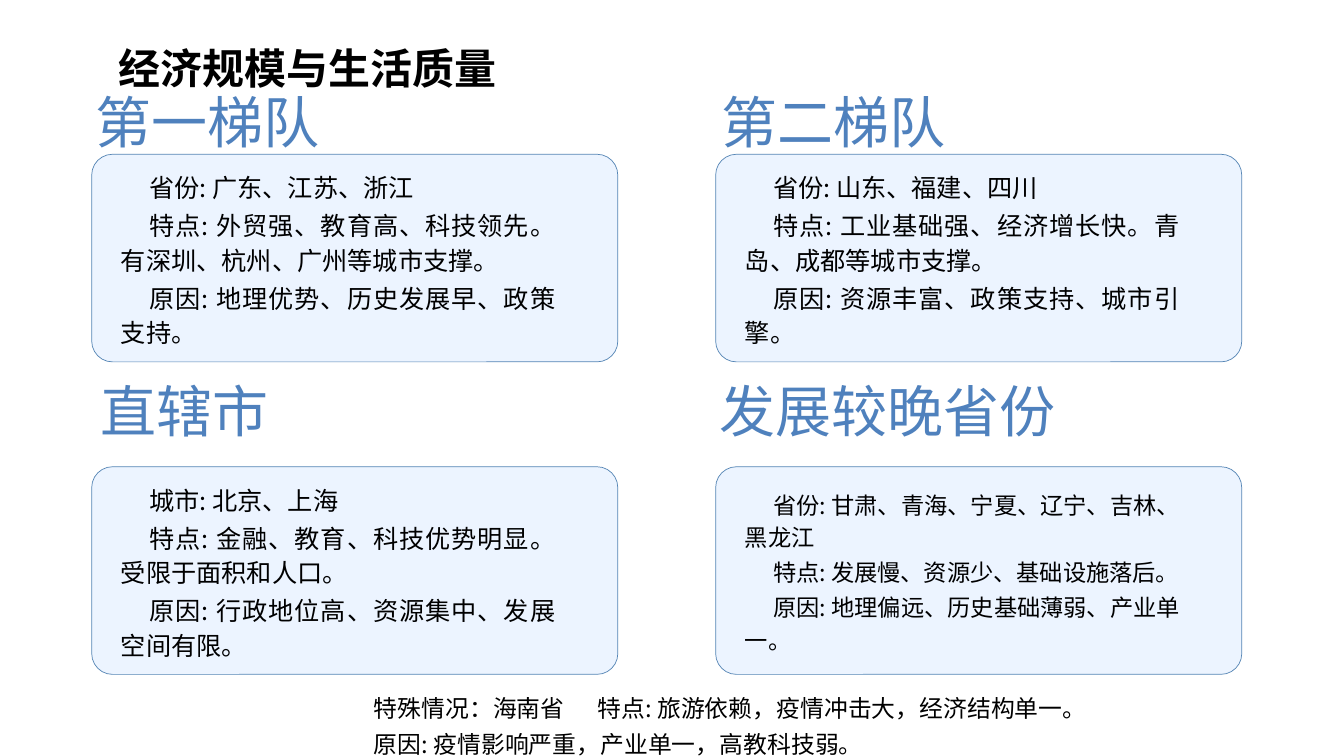
from dataclasses import dataclass

import lxml.etree
import pptx
import pptx.dml.color
import pptx.enum.shapes
import pptx.enum.text
import pptx.oxml.ns
import pptx.slide
import pptx.text.text
import pptx.util

Pt = pptx.util.Pt
qn = pptx.oxml.ns.qn
Align = pptx.enum.text.PP_ALIGN
Anchor = pptx.enum.text.MSO_ANCHOR
FACE = "Noto Sans CJK SC"
BLACK, BLUE, PALE, EDGE = "000000", "4F81BD", "ECF4FF", "5585B5"
COLS, ROWS = (65.5, 511.2), (110.2, 333.4)
CARD = (375.8, 148.3)
HEAD = {"alignment": Align.CENTER}
BODY = {"alignment": Align.JUSTIFY, "line_spacing": 1.15}
GAP, STOP = 2.1, 216


@dataclass
class Group:
    col: int
    row: int
    name: str
    head: tuple[float, float, float, float]
    lines: list[str]
    size: float = 18


GROUPS = [
    Group(0, 0, "第一梯队", (34, 59, 228.2, 57.6), [
        "省份: 广东、江苏、浙江",
        "特点: 外贸强、教育高、科技领先。有深圳、杭州、广州等城市支撑。",
        "原因: 地理优势、历史发展早、政策支持。"]),
    Group(1, 0, "第二梯队", (481, 59, 228.2, 57.6), [
        "省份: 山东、福建、四川",
        "特点: 工业基础强、经济增长快。青岛、成都等城市支撑。",
        "原因: 资源丰富、政策支持、城市引擎。"]),
    Group(0, 1, "直辖市", (51.8, 265.7, 160.6, 57.6), [
        "城市: 北京、上海",
        "特点: 金融、教育、科技优势明显。受限于面积和人口。",
        "原因: 行政地位高、资源集中、发展空间有限。"]),
    Group(1, 1, "发展较晚省份", (481, 265.7, 306, 55.4), [
        "省份: 甘肃、青海、宁夏、辽宁、吉林、黑龙江",
        "特点: 发展慢、资源少、基础设施落后。",
        "原因: 地理偏远、历史基础薄弱、产业单一。"], 16.6),
]
NOTE = [
    "特殊情况：海南省\t特点: 旅游依赖，疫情冲击大，经济结构单一。",
    "原因: 疫情影响严重，产业单一，高教科技弱。",
]


def color(code: str) -> pptx.dml.color.RGBColor:
    return pptx.dml.color.RGBColor.from_string(code)


def apply(target: object, form: dict) -> None:
    """Set each attribute of target named in form."""
    for key, value in form.items():
        setattr(target, key, value)


def indent(para: pptx.text.text._Paragraph, tab: bool) -> None:
    """Indent the first line and, if asked, add the tab stop."""
    props = para._p.get_or_add_pPr()
    props.set("marL", str(Pt(9.4)))
    props.set("indent", str(Pt(20.2)))
    if tab:
        stops = lxml.etree.SubElement(props, qn("a:tabLst"))
        lxml.etree.SubElement(stops, qn("a:tab"), pos=str(Pt(STOP)), algn="l")


def write(frame: pptx.text.text.TextFrame, lines: list[str], form: dict,
          size: float, ink: str = BLACK, bold: bool = False) -> None:
    for i, line in enumerate(lines):
        para = frame.paragraphs[0] if i == 0 else frame.add_paragraph()
        apply(para, form)
        if i:
            para.space_before = Pt(GAP)
        if form is BODY:
            indent(para, "\t" in line)
        run = para.add_run()
        run.text = line
        apply(run.font, {"name": FACE, "size": Pt(size), "bold": bold})
        run.font.color.rgb = color(ink)
        east = lxml.etree.SubElement(run._r.get_or_add_rPr(), qn("a:ea"))
        east.set("typeface", FACE)


def label(slide: pptx.slide.Slide, area: tuple[float, float, float, float],
          anchor: Anchor = Anchor.TOP) -> pptx.text.text.TextFrame:
    """Add a wrapping text box and return its frame."""
    frame = slide.shapes.add_textbox(*map(Pt, area)).text_frame
    apply(frame, {"word_wrap": True, "vertical_anchor": anchor,
                  "auto_size": pptx.enum.text.MSO_AUTO_SIZE.SHAPE_TO_FIT_TEXT})
    return frame


def card(slide: pptx.slide.Slide, group: Group) -> None:
    area = (COLS[group.col], ROWS[group.row], *CARD)
    shape = slide.shapes.add_shape(
        pptx.enum.shapes.MSO_SHAPE.ROUNDED_RECTANGLE, *map(Pt, area))
    shape.adjustments[0] = 0.1
    shape.shadow.inherit = False
    shape.fill.solid()
    shape.fill.fore_color.rgb = color(PALE)
    shape.line.color.rgb = color(EDGE)
    shape.line.width = Pt(0.5)
    apply(shape.text_frame, {"word_wrap": True, "margin_right": Pt(40),
                             "vertical_anchor": Anchor.MIDDLE})
    write(shape.text_frame, group.lines, BODY, group.size)
    write(label(slide, group.head), [group.name], HEAD, 40, BLUE)


def main() -> None:
    deck = pptx.Presentation()
    apply(deck, {"slide_width": Pt(960), "slide_height": Pt(540)})
    slide = deck.slides.add_slide(deck.slide_layouts[6])
    title = label(slide, (77.4, 8.6, 738, 61.2), Anchor.MIDDLE)
    write(title, ["经济规模与生活质量"], {"line_spacing": 1.5}, 30, bold=True)
    for group in GROUPS:
        card(slide, group)
    write(label(slide, (230.4, 488.9, 645.8, 81.4)), NOTE, BODY, 17)
    deck.save("out.pptx")


if __name__ == "__main__":
    main()
